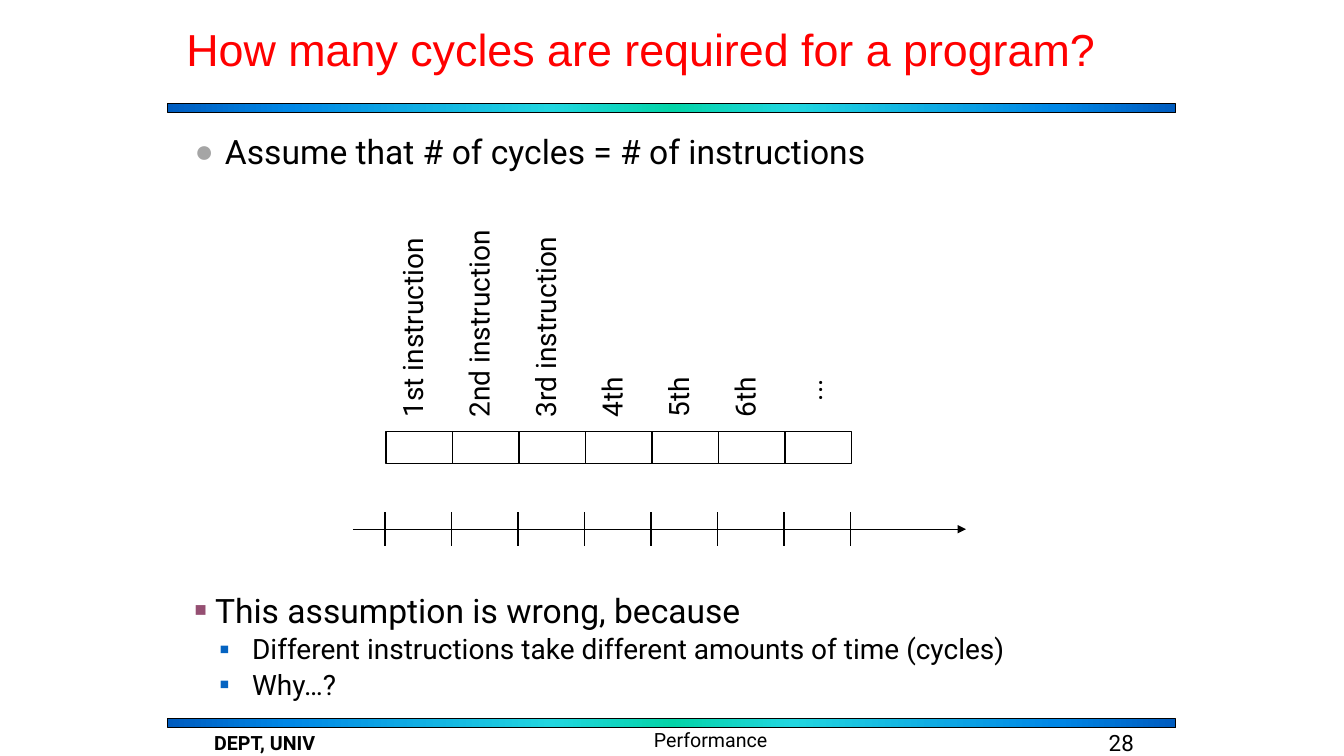
import pptx
import pptx.util
import pptx.dml.color
import pptx.enum.shapes
import pptx.enum.text
import pptx.oxml
import pptx.oxml.ns

Pt = pptx.util.Pt
RGBColor = pptx.dml.color.RGBColor
SHAPE = pptx.enum.shapes.MSO_SHAPE
ANCHOR = pptx.enum.text.MSO_ANCHOR
ALIGN = pptx.enum.text.PP_ALIGN
qn = pptx.oxml.ns.qn

BLACK = RGBColor(0x00, 0x00, 0x00)
WHITE = RGBColor(0xFF, 0xFF, 0xFF)
RED = RGBColor(0xFF, 0x00, 0x00)
GRAY = RGBColor(0xA5, 0xA5, 0xA5)
PLUM = RGBColor(0x95, 0x4F, 0x72)
BLUE = RGBColor(0x05, 0x63, 0xC1)
BAR_STOPS = [
    (0, RGBColor(0x00, 0x5C, 0xBF)),
    (12, RGBColor(0x00, 0x87, 0xE6)),
    (38, RGBColor(0x21, 0xD6, 0xE0)),
    (50, RGBColor(0x03, 0xD4, 0xA8)),
    (62, RGBColor(0x21, 0xD6, 0xE0)),
    (88, RGBColor(0x00, 0x87, 0xE6)),
    (100, RGBColor(0x00, 0x5C, 0xBF)),
]
A_NS = 'xmlns:a="http://schemas.openxmlformats.org/drawingml/2006/main"'

prs = pptx.Presentation()
prs.slide_width, prs.slide_height = Pt(960), Pt(540)
slide = prs.slides.add_slide(prs.slide_layouts[6])


def add_text(text, box=None, tf=None, size=20, font="Roboto", color=BLACK, bold=False,
             align=ALIGN.LEFT, anchor=ANCHOR.TOP, inset=(7.2, 3.6), rotation=0,
             spacing=None, before=0, bullet=None):
    """Write text in a new box, or as a further paragraph of tf."""
    if tf is None:
        s = slide.shapes.add_textbox(*[Pt(v) for v in box])
        s.rotation = rotation
        tf = s.text_frame
        tf.word_wrap = True
        tf.vertical_anchor = anchor
        tf.margin_left = tf.margin_right = Pt(inset[0])
        tf.margin_top = tf.margin_bottom = Pt(inset[1])
        p = tf.paragraphs[0]
    else:
        p = tf.add_paragraph()
    p.alignment = align
    p.space_before = Pt(before)
    if spacing:
        p.line_spacing = spacing
    if bullet:
        char, bullet_color, percent, margin, hang = bullet
        pPr = p._p.get_or_add_pPr()
        pPr.set("marL", str(Pt(margin)))
        pPr.set("indent", str(-Pt(hang)))
        for xml in (f'<a:buClr {A_NS}><a:srgbClr val="{bullet_color}"/></a:buClr>',
                    f'<a:buSzPct {A_NS} val="{percent * 1000}"/>',
                    f'<a:buFont {A_NS} typeface="Arial"/>',
                    f'<a:buChar {A_NS} char="{char}"/>'):
            pPr.append(pptx.oxml.parse_xml(xml))
    r = p.add_run()
    r.text = text
    r.font.size, r.font.name, r.font.bold = Pt(size), font, bold
    r.font.color.rgb = color
    return tf


def add_line(x1, y1, x2, y2):
    c = slide.shapes.add_connector(pptx.enum.shapes.MSO_CONNECTOR.STRAIGHT,
                                   Pt(x1), Pt(y1), Pt(x2), Pt(y2))
    c.line.color.rgb = BLACK
    c.line.width = Pt(1)
    c._element.spPr.append(pptx.oxml.parse_xml(f"<a:effectLst {A_NS}/>"))
    return c


# Title
add_text("How many cycles are required for a program?", box=(126, 7, 677.5, 60),
         size=32, font="Arial", color=RED, anchor=ANCHOR.MIDDLE, spacing=0.9)

# Gradient bars below the title and above the footer
for top in (74.1, 513.4):
    s = slide.shapes.add_shape(SHAPE.RECTANGLE, Pt(120), Pt(top), Pt(720), Pt(6.5))
    s.shadow.inherit = False
    s.fill.gradient()
    s.fill.gradient_angle = 0
    stops = s._element.spPr.find(qn("a:gradFill")).find(qn("a:gsLst"))
    for gs in list(stops):
        stops.remove(gs)
    for pos, color in BAR_STOPS:
        stops.append(pptx.oxml.parse_xml(
            f'<a:gs {A_NS} pos="{pos * 1000}"><a:srgbClr val="{color}"/></a:gs>'))
    s.line.color.rgb = BLACK
    s.line.width = Pt(0.75)

# Footer
add_text("28", box=(581, 504, 236, 39.6), size=16, align=ALIGN.RIGHT, anchor=ANCHOR.BOTTOM)
add_text("DEPT, UNIV", box=(120, 518.4, 138.2, 24), size=14, bold=True,
         align=ALIGN.CENTER, anchor=ANCHOR.BOTTOM)
add_text("Performance", box=(427, 516.2, 161.3, 24), size=14,
         align=ALIGN.CENTER, anchor=ANCHOR.BOTTOM)

# Assumption
add_text("Assume that # of cycles = # of instructions", box=(132, 90, 702, 402),
         size=24, bullet=("●", GRAY, 95, 21.6, 21.6))

# Time axis with cycle ticks
STEP = 47.5
axis = add_line(252, 378, 690, 378)
axis.line._get_or_add_ln().append(
    pptx.oxml.parse_xml(f'<a:tailEnd {A_NS} type="triangle"/>'))
for i in range(8):
    x = 275 + i * STEP
    add_line(x, 390, x, 366)

# Instruction cells, each with an upright label: text, length, bottom
labels = [("1st instruction", 168, 299.5), ("2nd instruction", 168, 299.5),
          ("3rd instruction", 168, 299.5), ("4th", 62.6, 299.5),
          ("5th", 62.6, 299.5), ("6th", 62.6, 299.5), ("...", 62.6, 288)]
for i, (text, length, bottom) in enumerate(labels):
    s = slide.shapes.add_shape(SHAPE.RECTANGLE, Pt(275.8 + i * STEP), Pt(308.2),
                               Pt(STEP), Pt(23))
    s.shadow.inherit = False
    s.fill.solid()
    s.fill.fore_color.rgb = WHITE
    s.line.color.rgb = BLACK
    s.line.width = Pt(1)
    center = 303.5 + i * STEP
    add_text(text, box=(center - length / 2, bottom - length / 2 - 20.5, length, 41),
             rotation=270, inset=(1.4, 2.2), spacing=Pt(21))

# Conclusion
tf = add_text("This assumption is wrong, because", box=(132, 406, 687.6, 101.5),
              size=24, spacing=1.4, before=4.8, bullet=("■", PLUM, 60, 14.5, 14.5))
for text in ("Different instructions take different amounts of time (cycles)", "Why…?"):
    add_text(text, tf=tf, spacing=0.9, before=4, bullet=("■", BLUE, 55, 41, 23))

prs.save("out.pptx")
